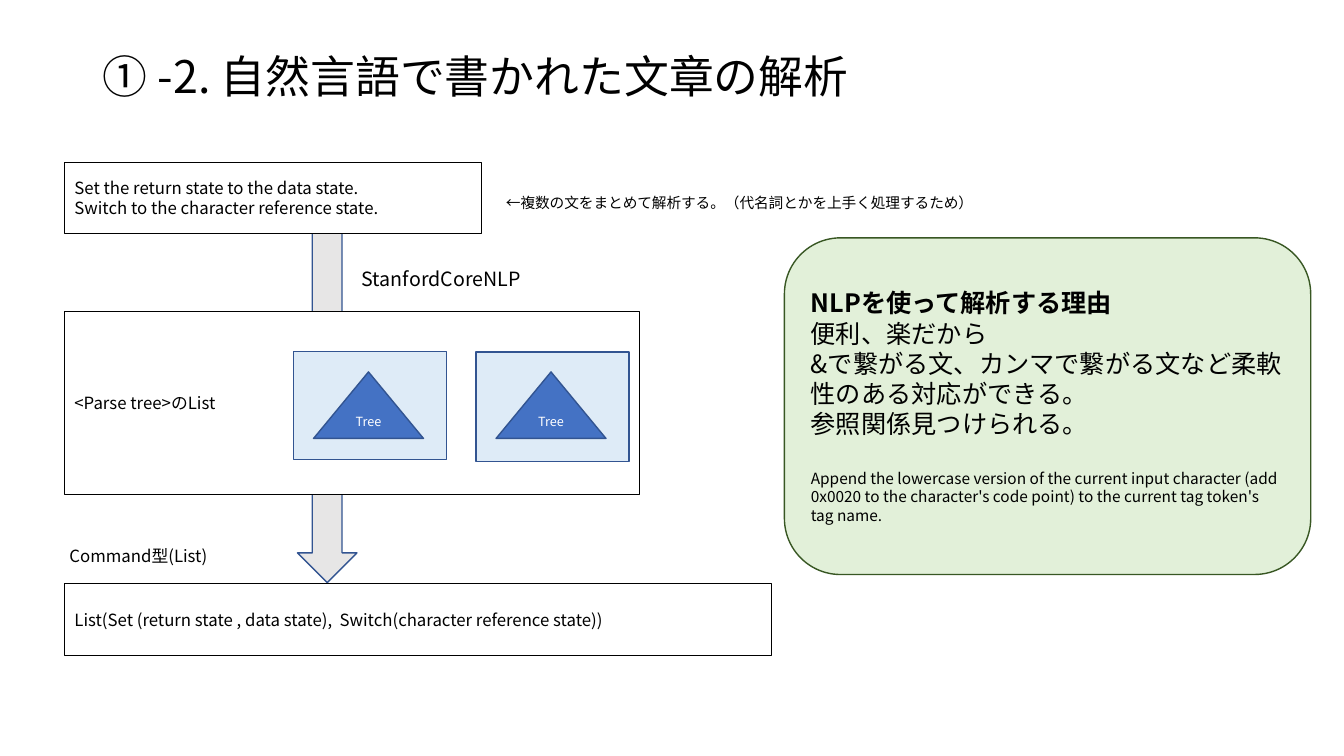
from lxml import etree
from pptx import Presentation
from pptx.dml.color import RGBColor
from pptx.enum.shapes import MSO_SHAPE
from pptx.enum.text import MSO_ANCHOR, PP_ALIGN
from pptx.oxml.ns import qn
from pptx.util import Inches, Pt

RECTANGLE = MSO_SHAPE.RECTANGLE
LEFT, CENTER = PP_ALIGN.LEFT, PP_ALIGN.CENTER
MIDDLE, TOP = MSO_ANCHOR.MIDDLE, MSO_ANCHOR.TOP
FONT = "Noto Sans CJK JP"
BLACK, WHITE, BLUE_LINE = "000000", "FFFFFF", "325491"


def add_block(shapes, kind, place, fill, line, width=1):
    block = shapes.add_shape(kind, *map(Inches, place))
    block.shadow.inherit = False
    block.fill.solid()
    block.fill.fore_color.rgb = RGBColor.from_string(fill)
    block.line.color.rgb = RGBColor.from_string(line)
    block.line.width = Pt(width)
    return block


def write(shape, lines, size, color=BLACK, align=LEFT, anchor=MIDDLE):
    """Fill a shape with one paragraph per line, in the slide font."""
    frame = shape.text_frame
    frame.word_wrap = True
    frame.vertical_anchor = anchor
    frame.text = "\n".join(lines)
    for para in frame.paragraphs:
        para.alignment = align
        for span in para.runs:
            formats = {"name": FONT, "size": Pt(size), "bold": False}
            for name, value in formats.items():
                setattr(span.font, name, value)
            span.font.color.rgb = RGBColor.from_string(color)
            properties = span.font._element
            etree.SubElement(properties, qn("a:ea"), typeface=FONT)
    return frame.paragraphs


deck = Presentation()
deck.slide_width, deck.slide_height = Inches(13.33), Inches(7.5)
page = deck.slides.add_slide(deck.slide_layouts[5])
shapes = page.shapes

# Title
title = shapes.title
title.left, title.top, title.width, title.height = map(Inches, (0.92, 0.4, 11.5, 0.76))
write(title, ["① -2. 自然言語で書かれた文章の解析"], 32)[0].line_spacing = 0.9

# Reasons panel
panel = add_block(shapes, MSO_SHAPE.ROUNDED_RECTANGLE, (7.78, 2.36, 5.22, 3.34), "E2F0D9", "385723")
reasons = write(panel, [
    "NLPを使って解析する理由",
    "便利、楽だから",
    "&で繋がる文、カンマで繋がる文など柔軟性のある対応ができる。",
    "参照関係見つけられる。",
    "Append the lowercase version of the current input character (add 0x0020 to the "
    "character's code point) to the current tag token's tag name.",
], 18)
reasons[0].runs[0].font.bold = True
reasons[-1].runs[0].font.size = Pt(11)
reasons[-1].space_before = Pt(21.5)

# Flow from sentences to commands
add_block(shapes, MSO_SHAPE.DOWN_ARROW, (2.95, 2.27, 0.59, 3.51), "E7E6E6", BLUE_LINE)
stages = [
    (1.61, 4.14, 0.71, ["Set the return state to the data state.",
                        "Switch to the character reference state."]),
    (3.09, 5.7, 1.82, ["<Parse tree>のList"]),
    (5.79, 7.01, 0.71, ["List(Set (return state , data state),  Switch(character reference state))"]),
]
for top, width, height, lines in stages:
    stage = add_block(shapes, RECTANGLE, (0.64, top, width, height), WHITE, BLACK, 0.75)
    write(stage, lines, 12)

# Parse trees
for left, height in ((2.91, 1.07), (4.72, 1.09)):
    group = shapes.add_group_shape().shapes
    add_block(group, RECTANGLE, (left, 3.49, 1.52, height), "DEEBF7", BLUE_LINE)
    tree = add_block(group, MSO_SHAPE.FLOWCHART_EXTRACT, (left + 0.2, 3.69, 1.09, 0.66),
                     "4472C4", BLUE_LINE)
    write(tree, ["Tree"], 9, WHITE, CENTER)

# Labels
labels = [
    ((3.49, 2.6, 2.25, 0.51), "StanfordCoreNLP", 14, TOP),
    ((4.92, 1.87, 4.91, 0.28), "←複数の文をまとめて解析する。（代名詞とかを上手く処理するため）", 10.5, MIDDLE),
    ((0.59, 5.35, 2.17, 0.32), "Command型(List)", 12, MIDDLE),
]
for place, text, size, anchor in labels:
    write(shapes.add_textbox(*map(Inches, place)), [text], size, anchor=anchor)

deck.save("out.pptx")
